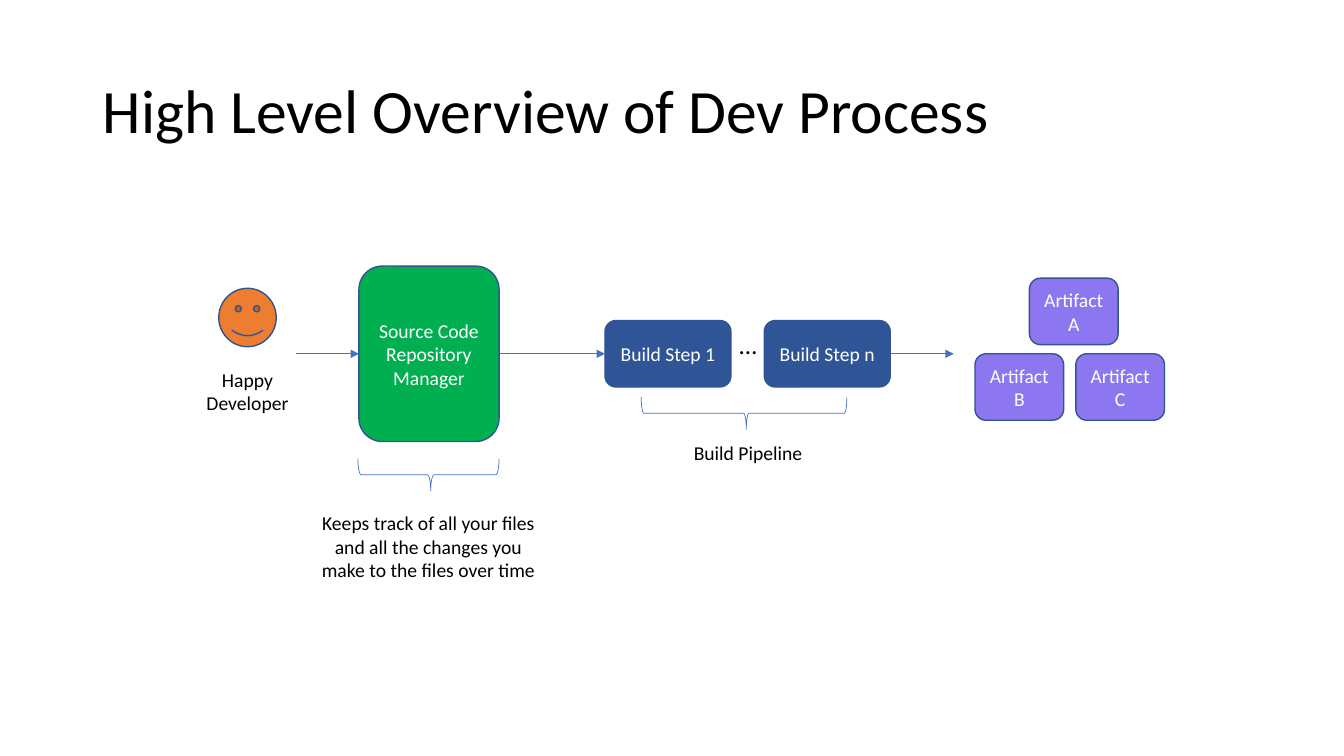
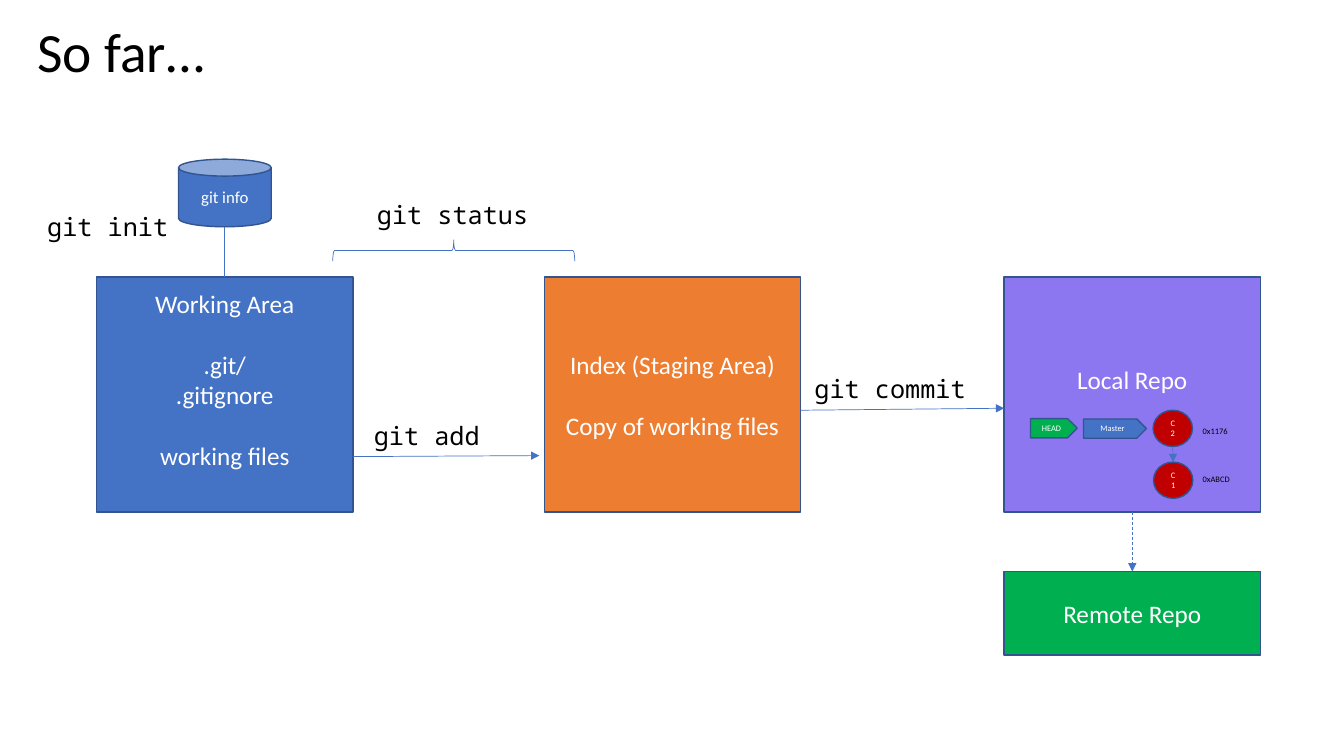
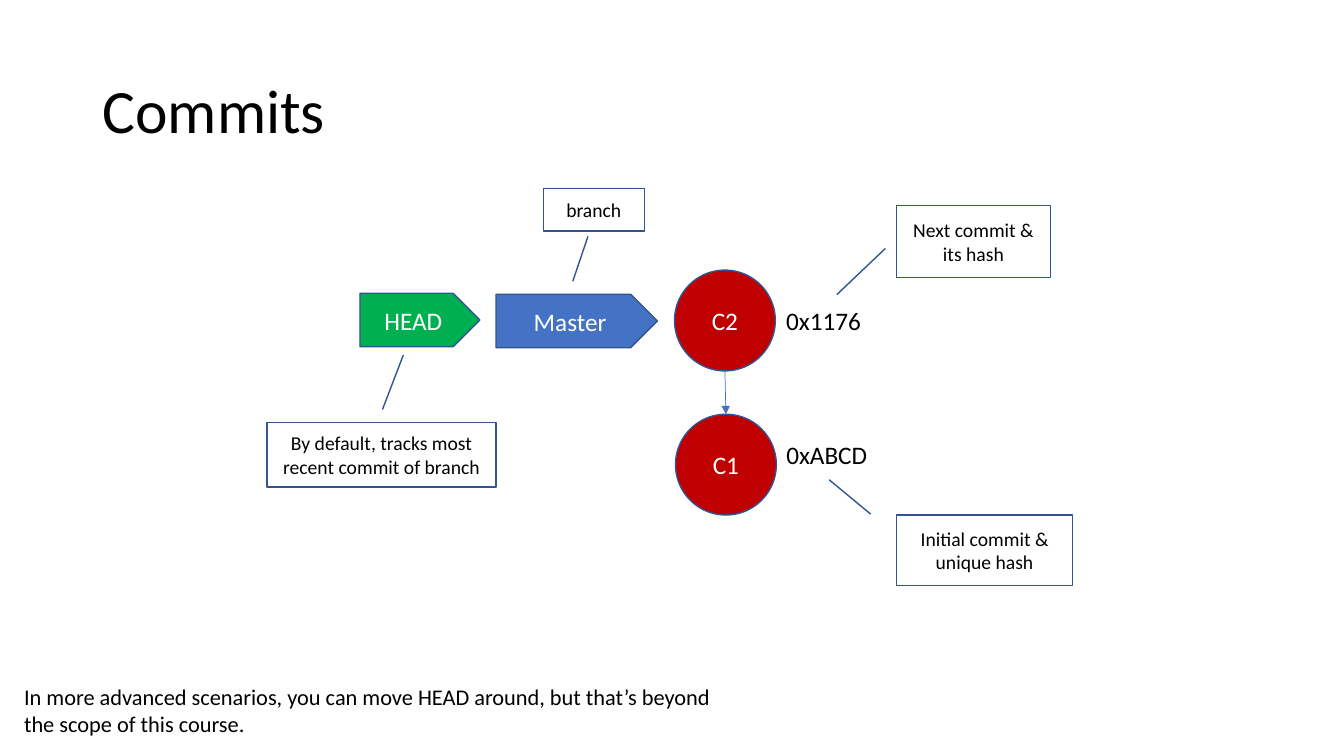
from lxml.etree import SubElement
from pptx import Presentation
from pptx.dml.color import RGBColor
from pptx.enum.dml import MSO_LINE
from pptx.enum.shapes import MSO_CONNECTOR, MSO_SHAPE
from pptx.enum.text import MSO_ANCHOR, PP_ALIGN
from pptx.oxml.ns import qn
from pptx.util import Inches, Pt

# Shared look
BLACK, WHITE = "000000", "FFFFFF"
BLUE, NAVY, OUTLINE = "4472C4", "2F5597", "325491"
GREEN, ORANGE, PURPLE, RED = "00B050", "ED7D31", "8D77F1", "C00000"
BODY_FONT, CODE_FONT = "Calibri", "Noto Sans Mono"
BLANK_LINE = 22  # points, one line of 18 pt text

deck = Presentation()
deck.slide_width, deck.slide_height = Inches(13.33), Inches(7.5)


def new_slide():
    return deck.slides.add_slide(deck.slide_layouts[6])


def rgb(color):
    return RGBColor.from_string(color)


def inches(*lengths):
    return [Inches(length) for length in lengths]


def write(frame, lines, size, color, font=BODY_FONT, align=PP_ALIGN.CENTER,
          spaced=(), spacing=None):
    """Write one paragraph per line; the indexes in spaced get a gap before."""
    for index, line in enumerate(lines):
        paragraph = frame.paragraphs[0] if index == 0 else frame.add_paragraph()
        paragraph.alignment = align
        if spacing:
            paragraph.line_spacing = spacing
        if index in spaced:
            paragraph.space_before = Pt(BLANK_LINE)
        run = paragraph.add_run()
        run.text = line
        run.font.name, run.font.size = font, Pt(size)
        run.font.color.rgb = rgb(color)


def label(slide, box, *lines, size=14, font=BODY_FONT, align=PP_ALIGN.CENTER,
          wrap=True, anchor=MSO_ANCHOR.TOP, spacing=None):
    frame = slide.shapes.add_textbox(*inches(*box)).text_frame
    frame.word_wrap, frame.vertical_anchor = wrap, anchor
    write(frame, lines, size, BLACK, font, align, spacing=spacing)


def title(slide, text, box=(0.92, 0.4, 11.5, 1.45), size=44):
    label(slide, box, text, size=size, align=PP_ALIGN.LEFT,
          anchor=MSO_ANCHOR.MIDDLE, spacing=0.9)


def block(slide, kind, box, fill, *lines, size=14, color=WHITE, line=OUTLINE,
          width=1, spaced=(), blank_below=False, adjust=()):
    part = slide.shapes.add_shape(kind, *inches(*box))
    part.shadow.inherit = False
    if fill:
        part.fill.solid()
        part.fill.fore_color.rgb = rgb(fill)
    else:
        part.fill.background()
    part.line.color.rgb, part.line.width = rgb(line), Pt(width)
    for index, value in enumerate(adjust):
        part.adjustments[index] = value
    frame = part.text_frame
    frame.word_wrap, frame.vertical_anchor = True, MSO_ANCHOR.MIDDLE
    if blank_below:
        frame.margin_bottom = Inches(0.05) + Pt(BLANK_LINE)
    write(frame, lines, size, color, spaced=spaced)
    return part


def brace(slide, box, rotation, adjust=()):
    """A brace lying across the box: 270 points down, 90 points up."""
    left, top, width, height = box
    upright = (left + (width - height) / 2, top + (height - width) / 2, height, width)
    block(slide, MSO_SHAPE.LEFT_BRACE, upright, None, line=BLUE, width=0.5,
          adjust=adjust).rotation = rotation


def link(slide, start, end, arrow=True, dashed=False):
    connector = slide.shapes.add_connector(MSO_CONNECTOR.STRAIGHT, *inches(*start, *end))
    connector.line.color.rgb, connector.line.width = rgb(BLUE), Pt(0.5)
    if dashed:
        connector.line.dash_style = MSO_LINE.DASH
    if arrow:
        SubElement(connector.line._get_or_add_ln(), qn("a:tailEnd"), type="triangle")
    SubElement(connector._element.spPr, qn("a:effectLst"))


def commit_graph(slide, left, top, scale_x, scale_y, size):
    """HEAD and Master pointing at a chain of two commits with hashes."""
    def place(x, y, width, height):
        return (left + x * scale_x, top + y * scale_y, width * scale_x, height * scale_y)

    for name, x, y, width, fill in (("HEAD", 0, 0.23, 1.19, GREEN),
                                    ("Master", 1.35, 0.24, 1.6, BLUE)):
        block(slide, MSO_SHAPE.PENTAGON, place(x, y, width, 0.53), fill, name, size=size)
    for name, x, y, hash_text, hash_y, em in (("C1", 3.13, 1.43, "0xABCD", 1.63, 0.045),
                                              ("C2", 3.12, 0, "0x1176", 0.3, 0.042)):
        block(slide, MSO_SHAPE.OVAL, place(x, y, 1, 1), RED, name, size=size)
        label(slide, (*place(4.13, hash_y, 0, 0)[:2], 0.2 + em * size, 0.1 + size / 60),
              hash_text, size=size, align=PP_ALIGN.LEFT, wrap=False)
    link(slide, place(3.62, 1, 0, 0)[:2], place(3.63, 1.43, 0, 0)[:2])


# Slide 1: development process
def developer(slide, left, top):
    block(slide, MSO_SHAPE.SMILEY_FACE, (left + 0.41, top, 0.57, 0.58), ORANGE)
    label(slide, (left, top + 0.74, 1.39, 0.57), "Happy", "Developer")


def repository(slide, left, top):
    block(slide, MSO_SHAPE.ROUNDED_RECTANGLE, (left, top, 1.39, 1.74), GREEN,
          "Source Code Repository", "Manager")
    brace(slide, (left - 0.01, top + 1.91, 1.4, 0.32), 270, (0.102, 0.516))
    label(slide, (left - 0.56, top + 2.38, 2.5, 0.81),
          "Keeps track of all your files and all the changes you make to the files over time")


def pipeline(slide, left, top):
    for index, step in enumerate("1n"):
        block(slide, MSO_SHAPE.ROUNDED_RECTANGLE, (left + 1.58 * index, top, 1.25, 0.66),
              NAVY, f"Build Step {step}", line=NAVY)
    label(slide, (left + 1.17, top + 0.04, 0.5, 0.4), "…", size=18)
    brace(slide, (left + 0.36, top + 0.76, 2.04, 0.32), 270, (0.083, 0.511))
    label(slide, (left + 0.49, top + 1.15, 1.86, 0.34), "Build Pipeline")


def artifacts(slide, left, top):
    for name, x, y in (("A", 0.54, 0), ("B", 0, 0.75), ("C", 1, 0.75)):
        block(slide, MSO_SHAPE.ROUNDED_RECTANGLE, (left + x, top + y, 0.88, 0.66),
              PURPLE, f"Artifact {name}")


def process_slide():
    slide = new_slide()
    title(slide, "High Level Overview of Dev Process")
    repository(slide, 3.56, 2.64)
    developer(slide, 1.76, 2.86)
    pipeline(slide, 6, 3.18)
    artifacts(slide, 9.67, 2.76)
    for start, end in ((2.94, 3.56), (4.96, 6), (8.84, 9.46)):
        link(slide, (start, 3.51), (end, 3.51))


# Slide 2: areas and the commands between them
def areas(slide, top, width, height):
    for left, fill, lines, spaced, blank_below in (
            (0.96, BLUE, ("Working Area", ".git/", ".gitignore", "working files"), (1, 3), True),
            (5.4, ORANGE, ("Index (Staging Area)", "Copy of working files"), (1,), False),
            (9.96, PURPLE, ("Local Repo",), (), True)):
        block(slide, MSO_SHAPE.RECTANGLE, (left, top, width, height), fill, *lines,
              size=18, spaced=spaced, blank_below=blank_below)
    block(slide, MSO_SHAPE.RECTANGLE, (9.96, top + 2.92, width, 0.83), GREEN,
          "Remote Repo", size=18)


def commands(slide):
    for command, left, top, width in (("git init", 0.37, 2.05, 1.41),
                                      ("git status", 3.64, 1.93, 1.71),
                                      ("git add", 3.61, 4.12, 1.26),
                                      ("git commit", 7.98, 3.65, 1.76)):
        label(slide, (left, top, width, 0.4), command, size=18, font=CODE_FONT,
              align=PP_ALIGN.LEFT, wrap=False)
    brace(slide, (3.3, 2.38, 2.4, 0.21), 90)
    link(slide, (3.5, 4.53), (5.35, 4.52))
    link(slide, (7.94, 4.07), (9.96, 4.05))
    link(slide, (11.23, 5.08), (11.23, 5.67), dashed=True)


def areas_slide():
    slide = new_slide()
    title(slide, "So far…", (0.27, 0.26, 11.5, 0.56), 39.6)
    areas(slide, 2.75, 2.54, 2.33)
    commands(slide)
    block(slide, MSO_SHAPE.CAN, (1.77, 1.58, 0.92, 0.67), BLUE, "git info", size=12)
    link(slide, (2.23, 2.25), (2.23, 2.75), arrow=False)
    commit_graph(slide, 10.22, 4.07, 0.39, 0.36, 6)


# Slide 3: commits explained
def callouts(slide):
    for text, box, pointer in (
            ("branch", (5.39, 1.87, 1, 0.42), (1.13, 0.442, 2.188, 0.292)),
            ("By default, tracks most recent commit of branch",
             (2.65, 4.19, 2.27, 0.64), (-0.2, 0.504, -1.043, 0.595)),
            ("Initial commit & unique hash",
             (8.89, 5.11, 1.75, 0.7), (-0.013, -0.146, -0.5, -0.381)),
            ("Next commit & its hash",
             (8.89, 2.04, 1.53, 0.71), (0.598, -0.071, 1.242, -0.385))):
        block(slide, MSO_SHAPE.LINE_CALLOUT_1, box, None, text, color=BLACK, adjust=pointer)


def commits_slide():
    slide = new_slide()
    title(slide, "Commits")
    commit_graph(slide, 3.57, 2.68, 1, 1, 18)
    callouts(slide)
    label(slide, (0.14, 6.73, 7.29, 0.64),
          "In more advanced scenarios, you can move HEAD around, but that’s beyond "
          "the scope of this course.", size=16, align=PP_ALIGN.LEFT)


process_slide()
areas_slide()
commits_slide()
deck.save("out.pptx")
